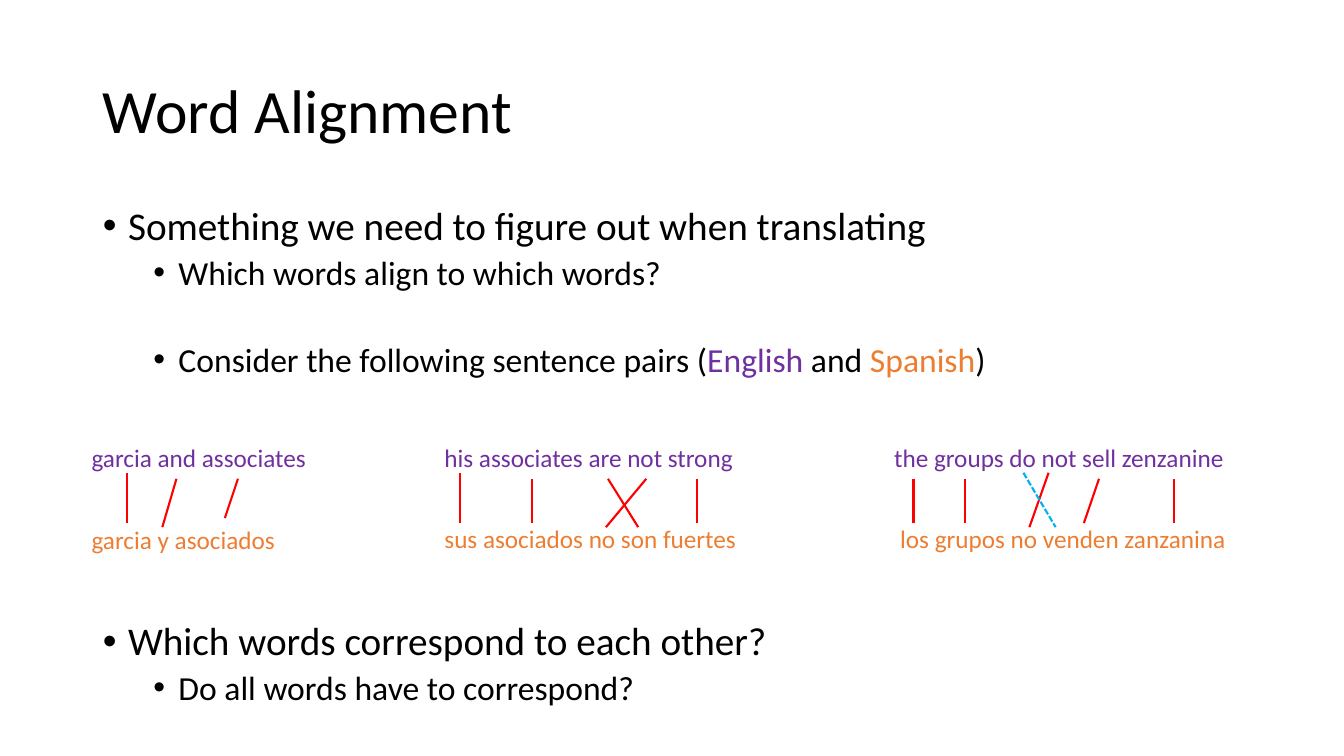
from lxml import etree
from pptx import Presentation
from pptx import util as u
from pptx.dml.color import RGBColor
from pptx.enum import dml, shapes, text
from pptx.oxml.ns import qn

COLORS = {
    "ink": "000000",
    "english": "7030A0",
    "spanish": "ED7D31",
    "link": "FF0000",
    "unsure": "00B0F0",
}


class AlignmentSlide:
    font = "Calibri"

    def __init__(self, prs):
        self.s = prs.slides.add_slide(prs.slide_layouts[1])

    def color(self, name):
        return RGBColor.from_string(COLORS[name])

    def place(self, sp, left, top, width, height):
        sp.left, sp.top = u.Inches(left), u.Inches(top)
        sp.width, sp.height = u.Inches(width), u.Inches(height)

    def style(self, r, size, color):
        r.font.name = self.font
        r.font.size = u.Pt(size)
        r.font.color.rgb = self.color(color)

    def title(self, words):
        sp = self.s.shapes.title
        self.place(sp, 0.92, 0.4, 11.5, 1.45)
        tf = sp.text_frame
        tf.text = words
        tf.auto_size = text.MSO_AUTO_SIZE.NONE
        tf.vertical_anchor = text.MSO_ANCHOR.MIDDLE
        p = tf.paragraphs[0]
        p.alignment = text.PP_ALIGN.LEFT
        p.line_spacing = 0.9
        self.style(p.runs[0], 44, "ink")

    def bullets(self, items):
        sp = self.s.placeholders[1]
        self.place(sp, 0.92, 2, 11.5, 5.04)
        tf = sp.text_frame
        tf.auto_size = text.MSO_AUTO_SIZE.NONE
        for i, (level, before, parts) in enumerate(items):
            p = tf.add_paragraph() if i else tf.paragraphs[0]
            p.level = level
            p.line_spacing = 0.9
            p.space_before = u.Pt(before)
            pPr = p._p.get_or_add_pPr()
            pPr.set("marL", str(u.Inches(0.25 + 0.5 * level)))
            pPr.set("indent", str(u.Inches(-0.25)))
            etree.SubElement(pPr, qn("a:buFont")).set("typeface", "Arial")
            etree.SubElement(pPr, qn("a:buChar")).set("char", "•")
            for words, color in parts:
                r = p.add_run()
                r.text = words
                self.style(r, 28 - 4 * level, color)

    def sentence(self, words, left, top, width, color):
        sp = self.s.shapes.add_textbox(
            u.Inches(left), u.Inches(top), u.Inches(width), u.Inches(0.4))
        tf = sp.text_frame
        tf.text = words
        tf.word_wrap = False
        tf.auto_size = text.MSO_AUTO_SIZE.SHAPE_TO_FIT_TEXT
        self.style(tf.paragraphs[0].runs[0], 18, color)

    def link(self, x1, y1, x2, y2, color="link", dash=None):
        c = self.s.shapes.add_connector(
            shapes.MSO_CONNECTOR.STRAIGHT,
            u.Inches(x1), u.Inches(y1), u.Inches(x2), u.Inches(y2))
        c.line.color.rgb = self.color(color)
        c.line.width = u.Pt(1.5)
        if dash:
            c.line.dash_style = dash
        etree.SubElement(c._element.spPr, qn("a:effectLst"))


BULLETS = [
    (0, 10, [("Something we need to figure out when translating", "ink")]),
    (1, 5, [("Which words align to which words?", "ink")]),
    (1, 36.4, [("Consider the following sentence pairs (", "ink"),
               ("English", "english"), (" and ", "ink"),
               ("Spanish", "spanish"), (")", "ink")]),
    (0, 173, [("Which words correspond to each other?", "ink")]),
    (1, 5, [("Do all words have to correspond?", "ink")]),
]

SENTENCES = [
    ("garcia and associates", 0.81, 4.34, 2.35, "english"),
    ("his associates are not strong", 4.31, 4.34, 3.09, "english"),
    ("the groups do not sell zenzanine", 8.77, 4.34, 3.55, "english"),
    ("garcia y asociados", 0.81, 5.15, 2.04, "spanish"),
    ("sus asociados no son fuertes", 4.31, 5.14, 3.14, "spanish"),
    ("los grupos no venden zanzanina", 8.83, 5.14, 3.52, "spanish"),
]

HIGH, TOP, BOTTOM, LOW = 4.69, 4.75, 5.19, 5.23
LINKS = [
    (1.26, BOTTOM, 1.26, HIGH),
    (1.61, LOW, 1.75, TOP),
    (2.23, 5.14, 2.36, TOP),
    (4.56, BOTTOM, 4.56, HIGH),
    (5.28, BOTTOM, 5.28, TOP),
    (6.01, LOW, 6.41, TOP),
    (6.33, LOW, 6.03, TOP),
    (6.91, BOTTOM, 6.91, TOP),
    (9.06, BOTTOM, 9.06, TOP),
    (9.57, BOTTOM, 9.57, TOP),
    (10.21, LOW, 10.4, HIGH),
    (10.75, BOTTOM, 10.9, TOP),
    (11.64, BOTTOM, 11.64, TOP),
]


def main():
    prs = Presentation()
    prs.slide_width, prs.slide_height = u.Inches(13.33), u.Inches(7.5)
    slide = AlignmentSlide(prs)
    slide.title("Word Alignment")
    slide.bullets(BULLETS)
    for sentence in SENTENCES:
        slide.sentence(*sentence)
    for ends in LINKS:
        slide.link(*ends)
    slide.link(10.15, HIGH, 10.47, LOW, "unsure", dml.MSO_LINE.SQUARE_DOT)
    prs.save("out.pptx")


if __name__ == "__main__":
    main()
